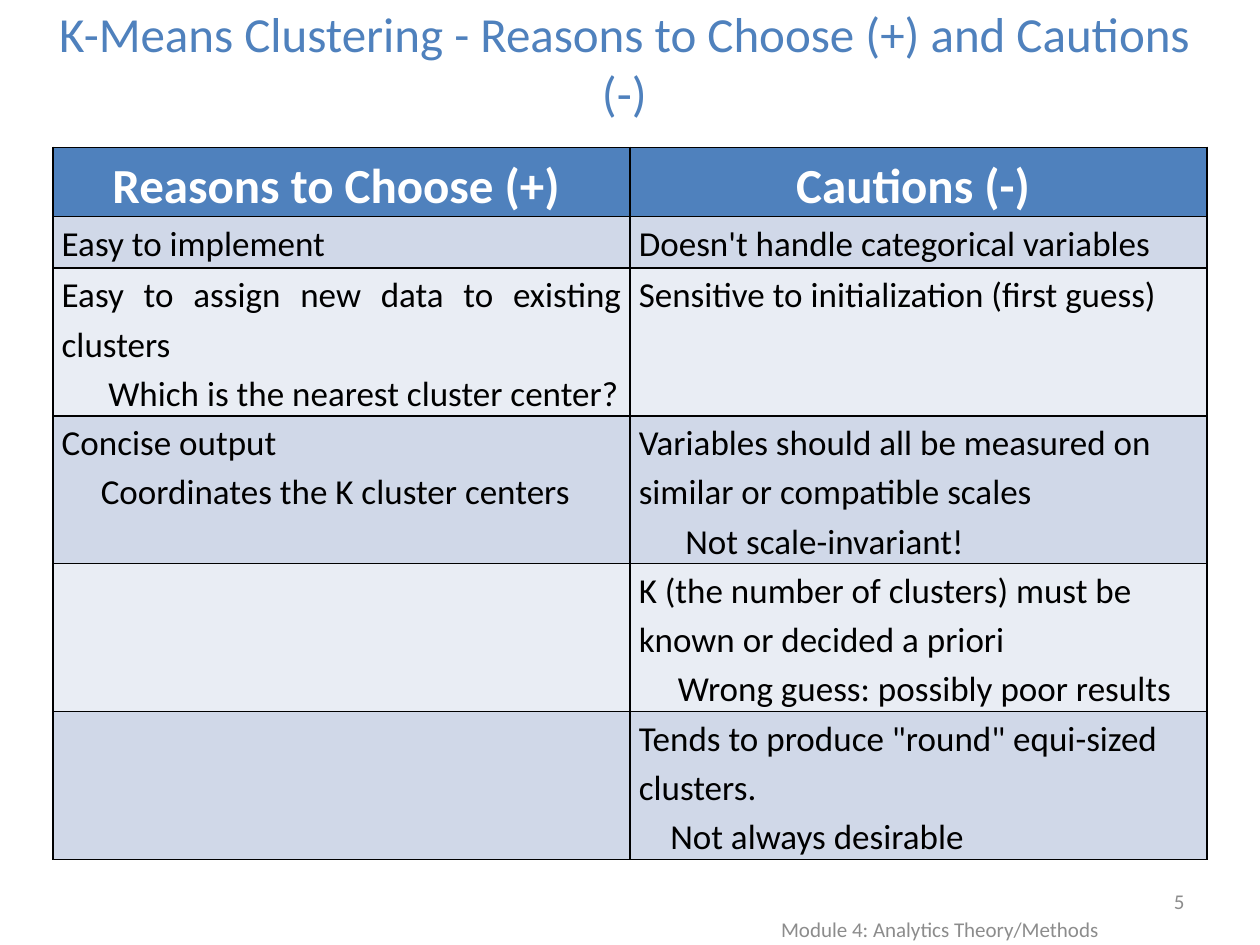
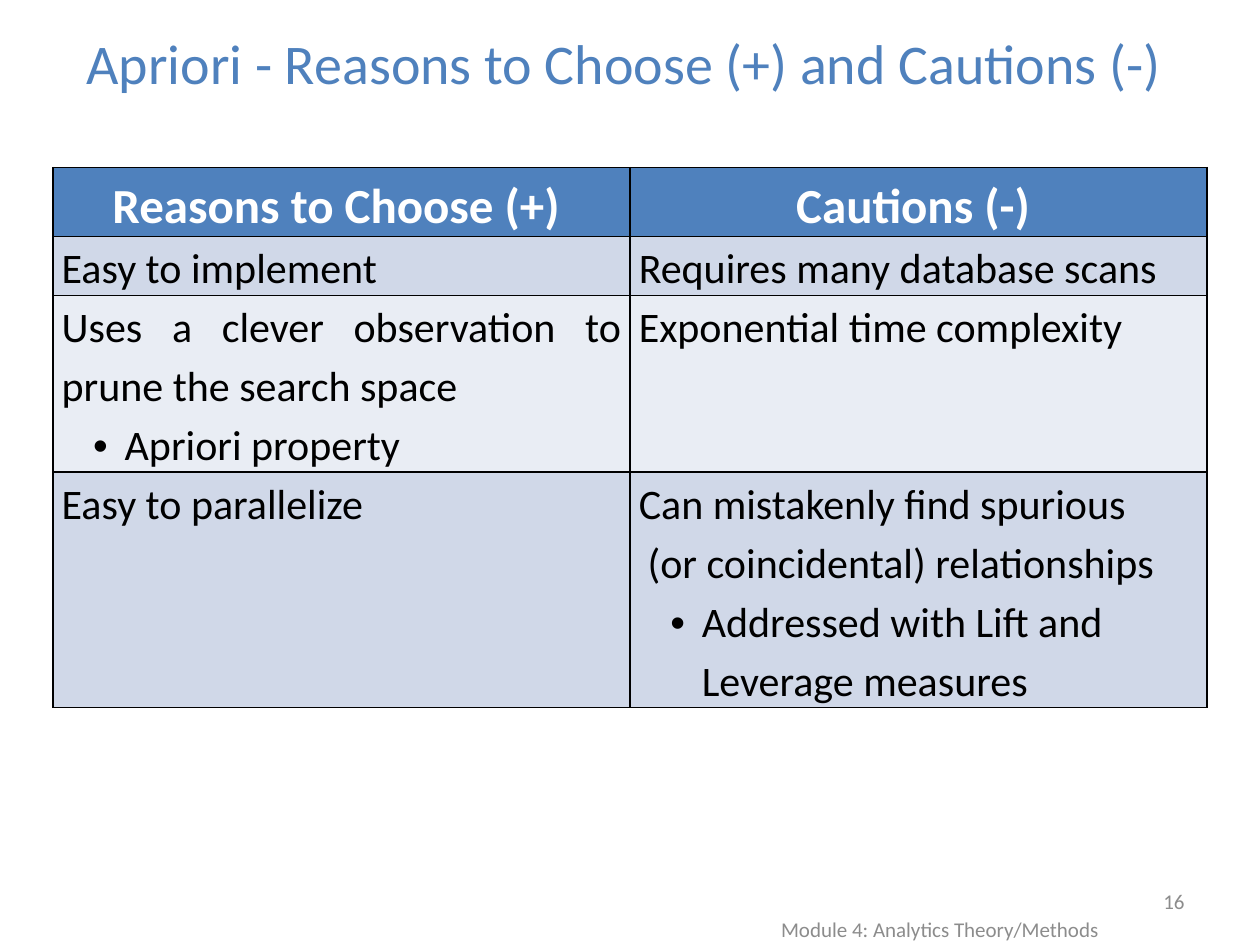
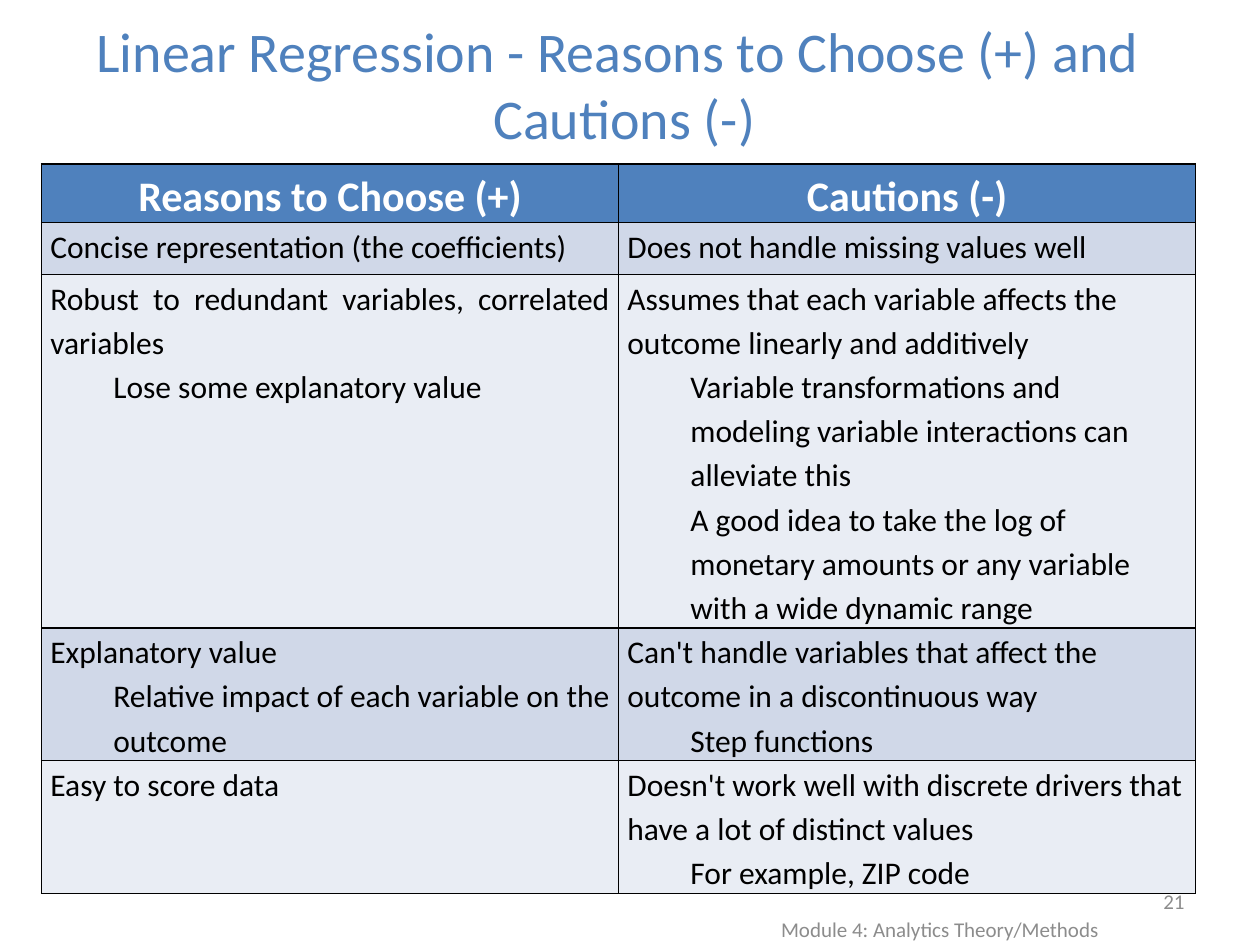
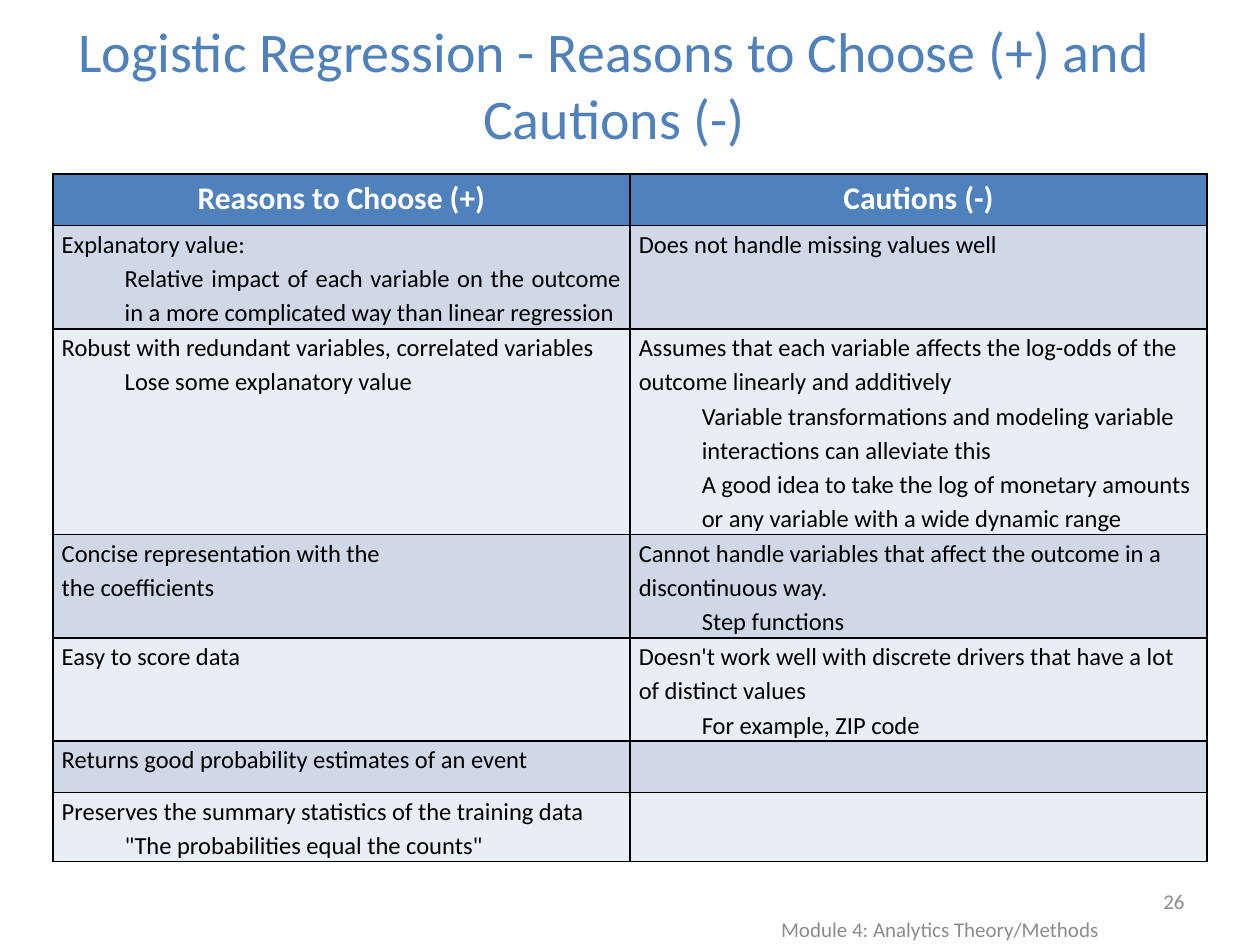
from dataclasses import dataclass

from lxml.etree import SubElement
from pptx import Presentation
from pptx.dml.color import RGBColor
from pptx.enum.text import MSO_ANCHOR, MSO_AUTO_SIZE, PP_ALIGN
from pptx.oxml.ns import qn
from pptx.util import Inches, Pt

FONT = "Calibri"
BLUE = RGBColor(0x4F, 0x81, 0xBD)
BAND_DARK = RGBColor(0xD0, 0xD8, 0xE8)
BAND_LIGHT = RGBColor(0xE9, 0xED, 0xF4)
WHITE = RGBColor(0xFF, 0xFF, 0xFF)
BLACK = RGBColor(0x00, 0x00, 0x00)
GREY = RGBColor(0x8C, 0x8C, 0x8C)

TITLE_ONLY = 5
COLUMN_WIDTH = 4.58
ROW_HEIGHT = 0.41
LINE_SPACING = 1.15
FOOTER = "Module 4: Analytics Theory/Methods"


@dataclass
class Detail:
    """An indented line below a reason or caution."""
    text: str
    indent: float = 0.5
    bullet: bool = False


@dataclass
class Comparison:
    """What one slide says for and against a method."""
    title: str
    title_at: tuple
    title_size: int
    number: int
    table_at: tuple
    table_height: float
    headings: tuple
    heading_size: int
    body_size: int
    rows: list
    row_heights: tuple = ()


SPACED_HEADINGS = ("Reasons to Choose (+) ", "Cautions (-) ")
HEADINGS = ("Reasons to Choose (+)", "Cautions (-)")
EXPLANATORY_LOSS = Detail("Lose some explanatory value")
MISSING_VALUES = ["Does not handle missing values well"]
TRANSFORMATIONS = [
    Detail("Variable transformations and modeling variable interactions can alleviate this"),
    Detail("A good idea to take the log of monetary amounts or any variable "
           "with a wide dynamic range"),
]
STEP_FUNCTIONS = Detail("Step functions")
SCORING = (
    ["Easy to score data"],
    ["Doesn't work well with discrete drivers that have a lot of distinct values",
     Detail("For example, ZIP code")],
)

COMPARISONS = [
    Comparison(
        title="K-Means Clustering - Reasons to Choose (+) and Cautions (-)",
        title_at=(0.33, 0.08), title_size=28, number=5,
        table_at=(0.42, 1.17), table_height=5.54,
        headings=SPACED_HEADINGS, heading_size=28, body_size=20,
        rows=[
            (["Easy to implement"], ["Doesn't handle categorical variables"]),
            (["Easy to assign new data to existing clusters",
              Detail("Which is the nearest cluster center?", 0.37)],
             ["Sensitive to initialization (first guess)"]),
            (["Concise output", Detail("Coordinates the K cluster centers", 0.31)],
             ["Variables should all be measured on similar or compatible scales",
              Detail("Not scale-invariant!", 0.37)]),
            ([], ["K (the number of clusters) must be known or decided a priori",
                  Detail("Wrong guess: possibly poor results", 0.31)]),
            ([], ['Tends to produce "round" equi-sized clusters.',
                  Detail("Not always desirable", 0.25)]),
        ],
    ),
    Comparison(
        title="Apriori - Reasons to Choose (+) and Cautions (-)",
        title_at=(0.33, 0.08), title_size=32, number=16,
        table_at=(0.42, 1.33), table_height=4.22,
        headings=SPACED_HEADINGS, heading_size=28, body_size=24,
        rows=[
            (["Easy to implement"], ["Requires many database scans"]),
            (["Uses a clever observation to prune the search space",
              Detail("Apriori property", bullet=True)],
             ["Exponential time complexity"]),
            (["Easy to parallelize"],
             ["Can mistakenly find spurious",
              Detail("(or coincidental) relationships", 0.07),
              Detail("Addressed with Lift and Leverage measures", bullet=True)]),
        ],
    ),
    Comparison(
        title="Linear Regression - Reasons to Choose (+) and \vCautions (-)",
        title_at=(0.33, 0.25), title_size=32, number=21,
        table_at=(0.33, 1.3), table_height=5.7,
        headings=HEADINGS, heading_size=24, body_size=18,
        rows=[
            (["Concise representation (the coefficients)"], MISSING_VALUES),
            (["Robust to redundant variables, correlated variables", EXPLANATORY_LOSS],
             ["Assumes that each variable affects the outcome linearly and additively",
              *TRANSFORMATIONS]),
            (["Explanatory value",
              Detail("Relative impact of each variable on the outcome")],
             ["Can't handle variables that affect the outcome in a discontinuous way",
              STEP_FUNCTIONS]),
            SCORING,
        ],
    ),
    Comparison(
        title="Logistic Regression - Reasons to Choose (+) and Cautions (-)",
        title_at=(0.25, 0.25), title_size=32, number=26,
        table_at=(0.42, 1.38), table_height=5.46,
        headings=HEADINGS, heading_size=18, body_size=14,
        rows=[
            (["Explanatory value:",
              Detail("Relative impact of each variable on the outcome in a more "
                     "complicated way than linear regression")],
             MISSING_VALUES),
            (["Robust with redundant variables, correlated variables", EXPLANATORY_LOSS],
             ["Assumes that each variable affects the log-odds of the outcome "
              "linearly and additively", *TRANSFORMATIONS]),
            (["Concise representation with the", "the coefficients"],
             ["Cannot handle variables that affect the outcome in a discontinuous way.",
              STEP_FUNCTIONS]),
            SCORING,
            (["Returns good probability estimates of an event"], []),
            (["Preserves the summary statistics of the training data",
              Detail('"The probabilities equal the counts"')], []),
        ],
        row_heights=(0.41, 0.82, 1.63, 0.82, 0.82, 0.41, 0.54),
    ),
]


def style(paragraph, size, color, align, bold=False):
    """Set the font and alignment of a paragraph."""
    paragraph.alignment = align
    paragraph.font.name = FONT
    paragraph.font.size = Pt(size)
    paragraph.font.bold = bold
    paragraph.font.color.rgb = color


def set_title(slide, comparison):
    """Place and format the title placeholder."""
    title = slide.shapes.title
    title.left, title.top = (Inches(length) for length in comparison.title_at)
    title.width, title.height = Inches(9.25), Inches(0.83)
    frame = title.text_frame
    frame.text = comparison.title
    frame.auto_size = MSO_AUTO_SIZE.NONE
    frame.vertical_anchor = MSO_ANCHOR.MIDDLE
    style(frame.paragraphs[0], comparison.title_size, BLUE, PP_ALIGN.CENTER)


def add_footer_text(slide, text, box, align):
    """Add a small grey line at the foot of the slide."""
    frame = slide.shapes.add_textbox(*(Inches(length) for length in box)).text_frame
    frame.word_wrap = True
    frame.vertical_anchor = MSO_ANCHOR.MIDDLE
    frame.text = text
    style(frame.paragraphs[0], 12, GREY, align)


def indent_detail(paragraph, detail):
    """Indent a detail line and give it a bullet if it has one."""
    properties = paragraph._p.get_or_add_pPr()
    properties.set("marL", str(Inches(detail.indent)))
    properties.set("indent", str(Inches(-0.25 if detail.bullet else 0)))
    if detail.bullet:
        paragraph.level = 1
        SubElement(properties, qn("a:buFont"), typeface="Arial")
        SubElement(properties, qn("a:buChar"), char="•")


def format_cell(cell, fill):
    """Give a cell its thin black borders and its fill."""
    properties = cell._tc.get_or_add_tcPr()
    for side in ("a:lnL", "a:lnR", "a:lnT", "a:lnB"):
        border = SubElement(properties, qn(side), w=str(Pt(1)))
        solid = SubElement(border, qn("a:solidFill"))
        SubElement(solid, qn("a:srgbClr"), val=str(BLACK))
    cell.fill.solid()
    cell.fill.fore_color.rgb = fill


def fill_cell(cell, lines, size, color, align, bold=False):
    """Write plain and detail lines into a cell."""
    cell.margin_left = cell.margin_right = Inches(0.07)
    cell.margin_top = cell.margin_bottom = 0
    frame = cell.text_frame
    for index, line in enumerate(lines):
        paragraph = frame.add_paragraph() if index else frame.paragraphs[0]
        paragraph.line_spacing = LINE_SPACING
        style(paragraph, size, color, align, bold)
        if isinstance(line, Detail):
            indent_detail(paragraph, line)
            paragraph.text = line.text
        else:
            paragraph.text = line


def add_comparison_table(slide, comparison):
    """Add the two-column table of reasons and cautions."""
    row_count = len(comparison.rows) + 1
    left, top = comparison.table_at
    frame = slide.shapes.add_table(
        row_count, 2, Inches(left), Inches(top),
        Inches(2 * COLUMN_WIDTH), Inches(comparison.table_height))
    table = frame.table
    table.horz_banding = False
    heights = comparison.row_heights or (ROW_HEIGHT,) * row_count
    for row, height in zip(table.rows, heights):
        row.height = Inches(height)
    frame.height = Inches(comparison.table_height)

    for column, heading in enumerate(comparison.headings):
        cell = table.cell(0, column)
        format_cell(cell, BLUE)
        fill_cell(cell, [heading], comparison.heading_size, WHITE, PP_ALIGN.CENTER, True)
    for row, sides in enumerate(comparison.rows, start=1):
        for column, lines in enumerate(sides):
            cell = table.cell(row, column)
            format_cell(cell, BAND_DARK if row % 2 else BAND_LIGHT)
            if lines:
                align = PP_ALIGN.LEFT if column else PP_ALIGN.JUSTIFY
                fill_cell(cell, lines, comparison.body_size, BLACK, align)


def add_comparison_slide(presentation, comparison):
    """Build one slide with title, table and footer."""
    slide = presentation.slides.add_slide(presentation.slide_layouts[TITLE_ONLY])
    add_comparison_table(slide, comparison)
    set_title(slide, comparison)
    add_footer_text(slide, FOOTER, (5.17, 7.25, 4.58, 0.25), PP_ALIGN.CENTER)
    add_footer_text(slide, str(comparison.number), (7.17, 6.95, 2.33, 0.4), PP_ALIGN.RIGHT)


def main():
    """Build and save the presentation."""
    presentation = Presentation()
    presentation.slide_width, presentation.slide_height = Inches(10), Inches(7.5)
    for comparison in COMPARISONS:
        add_comparison_slide(presentation, comparison)
    presentation.save("out.pptx")


if __name__ == "__main__":
    main()
